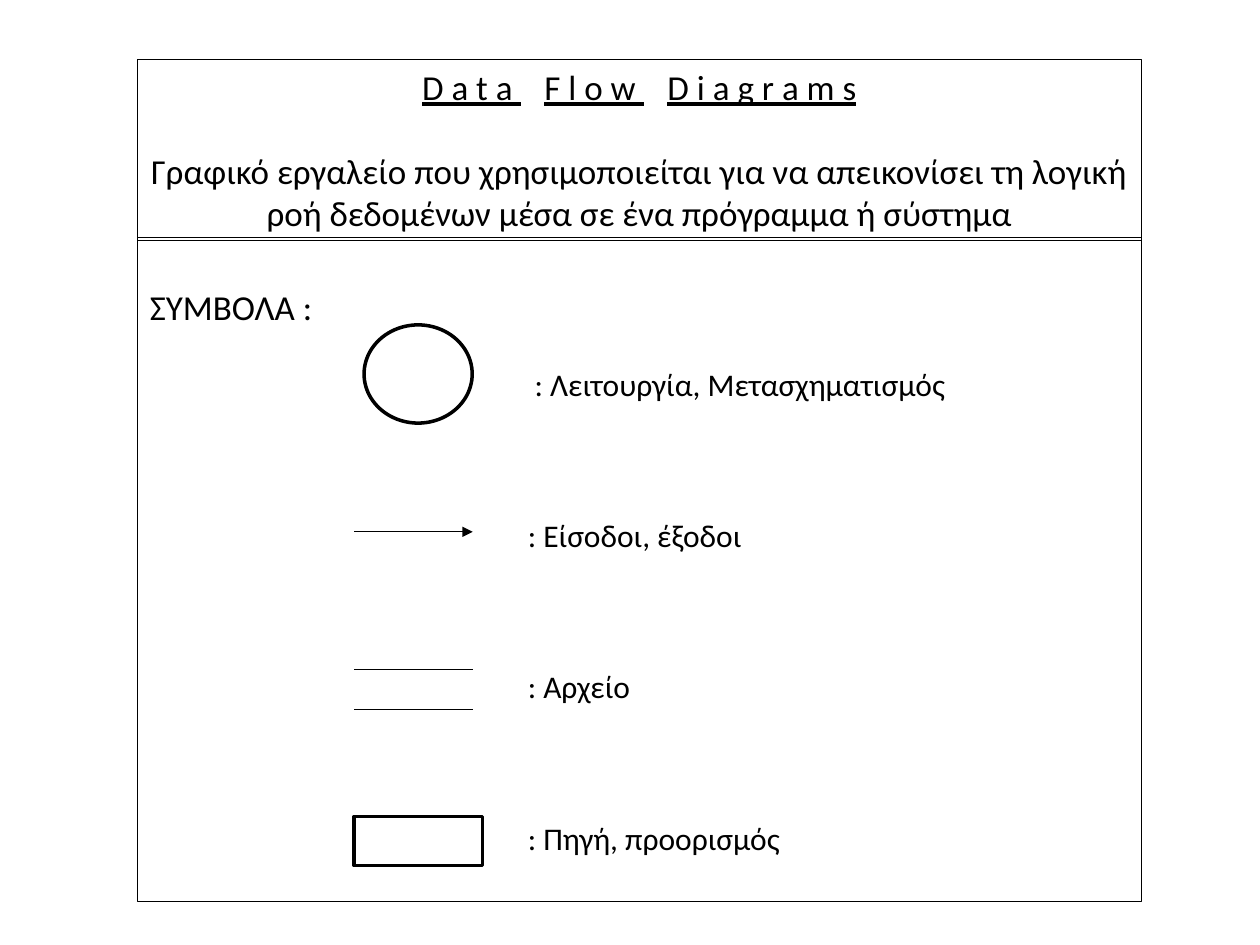
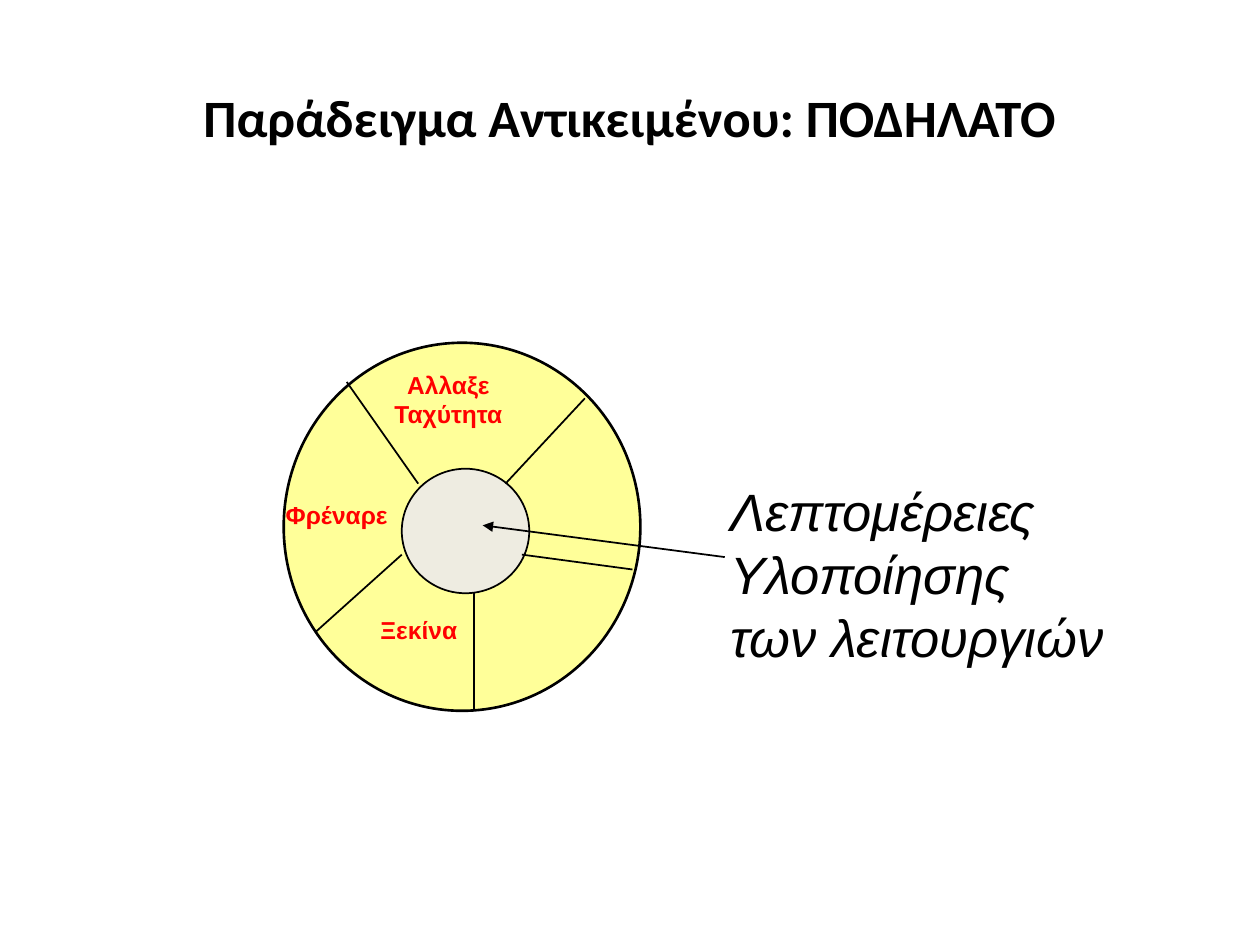
import pptx
import pptx.dml.color
import pptx.enum.shapes
import pptx.enum.text
import pptx.oxml.ns
import pptx.util
from lxml import etree

Cm = pptx.util.Cm
Pt = pptx.util.Pt
Preset = pptx.enum.shapes.MSO_SHAPE
Align = pptx.enum.text.PP_ALIGN
Anchor = pptx.enum.text.MSO_ANCHOR
qn = pptx.oxml.ns.qn

COLOURS = {"ink": "000000", "label": "FF0000", "wheel": "FFFF99", "hub": "EEECE1"}
LINE_HEIGHT = 1.2


def colour(name):
    return pptx.dml.color.RGBColor.from_string(COLOURS[name])


class Deck:
    def __init__(self):
        self.presentation = pptx.Presentation()
        self.presentation.slide_width = Cm(25.4)
        self.presentation.slide_height = Cm(19.05)
        self.slide = None
        self.shapes = None

    def new_slide(self, layout_index):
        layout = self.presentation.slide_layouts[layout_index]
        self.slide = self.presentation.slides.add_slide(layout)
        self.shapes = self.slide.shapes

    def start_group(self):
        self.shapes = self.slide.shapes.add_group_shape().shapes

    def end_group(self):
        self.shapes = self.slide.shapes

    def shape(self, preset, box, weight, fill=None):
        shape = self.shapes.add_shape(preset, *map(Cm, box))
        shape.shadow.inherit = False
        if fill:
            shape.fill.solid()
            shape.fill.fore_color.rgb = colour(fill)
        else:
            shape.fill.background()
        shape.line.color.rgb = colour("ink")
        shape.line.width = Pt(weight)
        return shape

    def line(self, start, end, weight, arrow=False):
        connector = self.shapes.add_connector(
            pptx.enum.shapes.MSO_CONNECTOR.STRAIGHT, *map(Cm, start + end))
        connector.line.color.rgb = colour("ink")
        connector.line.width = Pt(weight)
        properties = connector._element.spPr
        if arrow:
            etree.SubElement(properties.find(qn("a:ln")), qn("a:tailEnd"), type="triangle")
        etree.SubElement(properties, qn("a:effectLst"))

    def frame(self, shape, anchor=Anchor.TOP, wrap=True, top_inset=0.13):
        frame = shape.text_frame
        frame.word_wrap = wrap
        frame.vertical_anchor = anchor
        frame.margin_left = frame.margin_right = Cm(0.25)
        frame.margin_top, frame.margin_bottom = Cm(top_inset), Cm(0.13)
        return frame

    def paragraph(self, frame, text, size, font="Calibri", ink="ink", align=Align.LEFT,
                  before=0, indent=0, **styles):
        paragraph = frame.paragraphs[0]
        if paragraph.runs:
            paragraph = frame.add_paragraph()
        paragraph.alignment = align
        paragraph.line_spacing = Pt(size * LINE_HEIGHT)
        if before:
            paragraph.space_before = Pt(before)
        if indent:
            paragraph._p.get_or_add_pPr().set("marL", str(Cm(indent)))
        pieces = [text] if isinstance(text, str) else text
        for piece in pieces:
            run = paragraph.add_run()
            run.text = piece
            run.font.name = font
            run.font.size = Pt(size)
            run.font.color.rgb = colour(ink)
            for style, value in styles.items():
                setattr(run.font, style, value)
        return paragraph

    def title(self, text, box):
        title = self.slide.shapes.title
        title.left, title.top, title.width, title.height = map(Cm, box)
        self.paragraph(self.frame(title, Anchor.MIDDLE), text, 30,
                       align=Align.CENTER, bold=True)

    def text(self, lines, box, size, **style):
        frame = self.frame(self.shapes.add_textbox(*map(Cm, box)), wrap=False)
        for line in lines:
            self.paragraph(frame, line, size, font="Arial", **style)


def build_symbols(deck):
    deck.new_slide(6)
    header = deck.frame(deck.shape(Preset.RECTANGLE, (2.77, 1.19, 20.24, 3.66), 0.25))
    words = ["D a t a", " ", "F l o w", " ", "D i a g r a m s"]
    heading = deck.paragraph(header, words, 20, align=Align.CENTER, underline=True)
    for gap in heading.runs[1::2]:
        gap._r.get_or_add_rPr().set("spc", "1350")
    deck.paragraph(header, "Γραφικό εργαλείο που χρησιμοποιείται για να απεικονίσει τη λογική "
                   "ροή δεδομένων μέσα σε ένα πρόγραμμα ή σύστημα", 20,
                   align=Align.CENTER, before=24)

    legend = deck.frame(deck.shape(Preset.RECTANGLE, (2.77, 4.78, 20.24, 13.39), 0.25),
                        top_inset=0.97)
    deck.paragraph(legend, "ΣΥΜΒΟΛΑ :", 20)
    meanings = [(": Λειτουργία, Μετασχηματισμός", 21.6, 7.76), (": Είσοδοι, έξοδοι", 64.8, 7.62),
                (": Αρχείο", 64.8, 7.62), (": Πηγή, προορισμός", 64.8, 7.62)]
    for meaning, before, indent in meanings:
        deck.paragraph(legend, meaning, 18, before=before, indent=indent)

    deck.shape(Preset.OVAL, (7.34, 6.55, 2.18, 1.98), 2)
    for height, arrow in ((10.72, True), (13.49, False), (14.3, False)):
        deck.line((7.14, height), (9.53, height), 0.75, arrow)
    deck.shape(Preset.RECTANGLE, (7.14, 16.46, 2.59, 0.99), 2)


def build_bicycle(deck):
    deck.new_slide(5)
    deck.title("Παράδειγμα Αντικειμένου: ΠΟΔΗΛΑΤΟ", (1.27, 0.76, 22.86, 3.18))

    deck.start_group()
    deck.shape(Preset.OVAL, (5.72, 6.91, 7.19, 7.42), 1.5, "wheel")
    deck.shape(Preset.OVAL, (8.1, 9.45, 2.57, 2.51), 1, "hub")
    spokes = [((6.99, 7.7), (8.43, 9.75)), ((8.1, 11.18), (6.35, 12.75)),
              ((9.55, 11.96), (9.55, 14.33)), ((10.52, 11.18), (12.75, 11.48)),
              ((10.19, 9.75), (11.79, 8.03))]
    for start, end in spokes:
        deck.line(start, end, 1)
    deck.end_group()

    operations = [(["Αλλαξε", "Ταχύτητα"], (7.67, 7.32, 2.74, 1.45), Align.CENTER),
                  (["Φρέναρε"], (5.51, 9.96, 2.57, 0.86), Align.LEFT),
                  (["Ξεκίνα"], (7.42, 12.27, 2.06, 0.86), Align.LEFT)]
    for lines, box, align in operations:
        deck.text(lines, box, 14, ink="label", align=align, bold=True)
    deck.text(["Λεπτομέρειες", "Υλοποίησης", "των λειτουργιών"],
              (14.48, 9.53, 8.05, 4.06), 30, italic=True)
    deck.line((14.61, 11.23), (9.73, 10.59), 1, arrow=True)


def main():
    deck = Deck()
    build_symbols(deck)
    build_bicycle(deck)
    deck.presentation.save("out.pptx")


if __name__ == "__main__":
    main()
